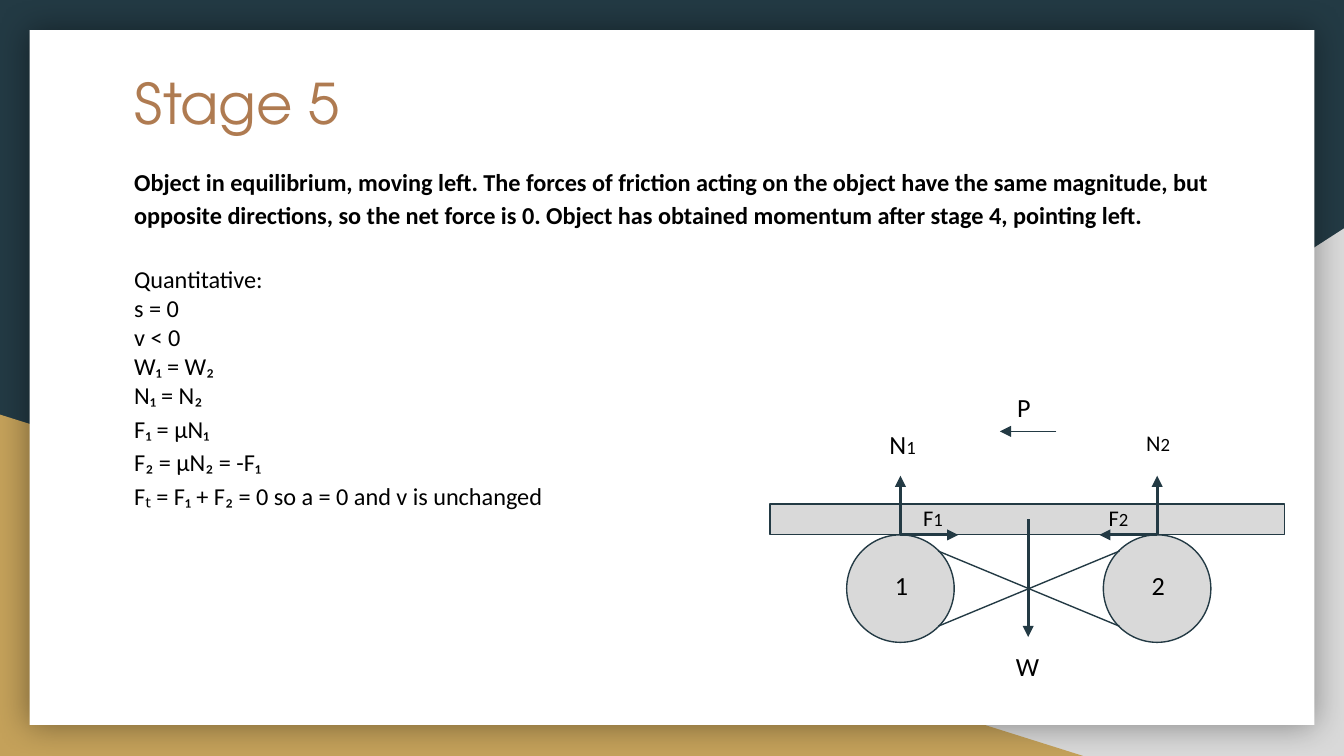
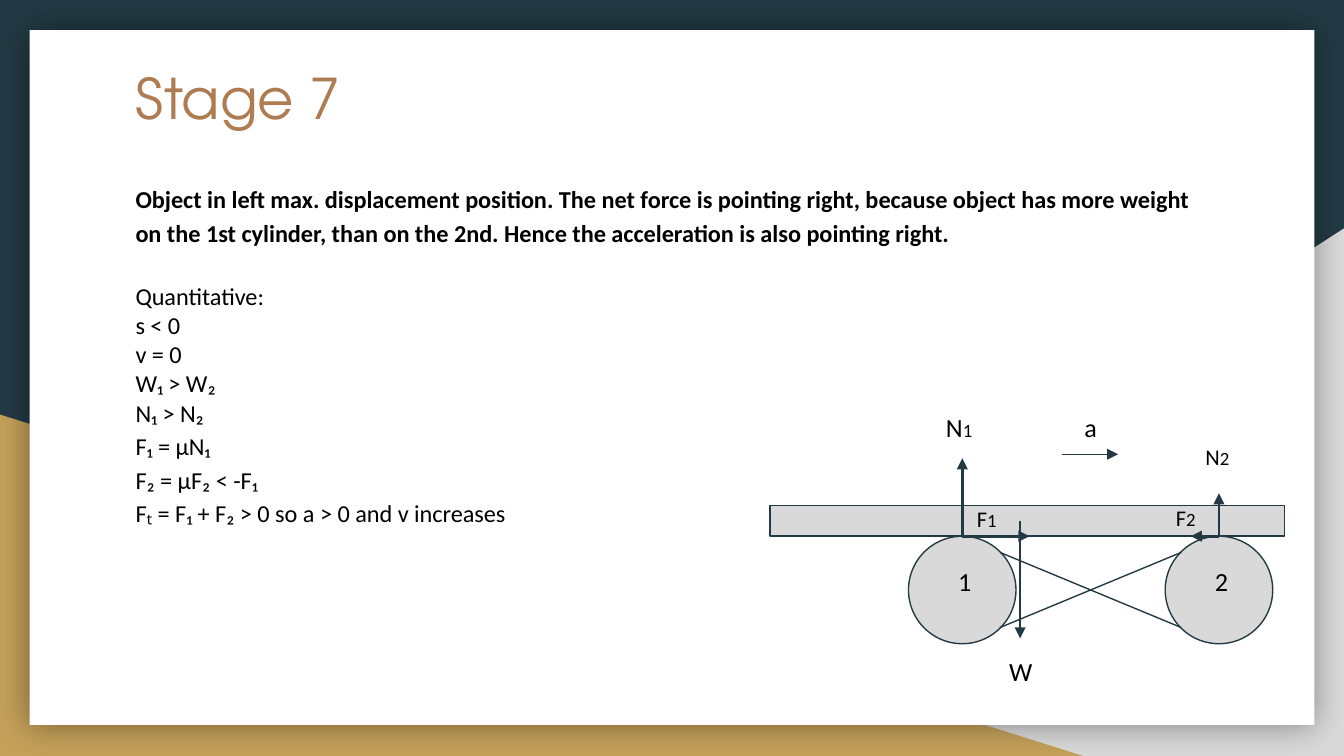
from dataclasses import dataclass
from typing import NamedTuple

from lxml.etree import SubElement
from pptx import Presentation
from pptx.dml.color import RGBColor
from pptx.enum.shapes import MSO_CONNECTOR as CONN, MSO_SHAPE as SHAPE
from pptx.enum.text import MSO_ANCHOR as ANCHOR, MSO_AUTO_SIZE as AUTO, PP_ALIGN as ALIGN
from pptx.oxml.ns import qn
from pptx.util import Pt

PX = 4572  # EMU; 200 px to the inch
SLIDE_W, SLIDE_H = 2000, 1125
INSET = 20

NAVY, GOLD, GREY, WHITE = "233A44", "C4A15A", "D9D9D9", "FFFFFF"
BROWN, BLACK = "AF7B51", "000000"
TITLE_FONT, BODY_FONT = "TeX Gyre Adventor", "Calibri"
THIN, THICK = 0.75, 1.5

WHEEL = 160
WHEEL_GAP = 382
BELT_INSET = 24
BAR_X, BAR_W, BAR_H = 1146, 766, 46


class Box(NamedTuple):
    x: int
    y: int
    w: int
    h: int


class Label(NamedTuple):
    text: str
    sub: str
    size: int
    box: Box


class Arrow(NamedTuple):
    x1: int
    y1: int
    x2: int
    y2: int


@dataclass
class Stage:
    title: str
    title_box: Box
    body_box: Box
    summary: str
    equations: list[str]
    wheel_x: int
    contact_y: int
    weight_x: int
    normals: tuple[int, int]
    frictions: tuple[int, int]
    motion: Arrow
    digit_offset: tuple[int, int]
    labels: list[Label]


STAGES = [
    Stage(
        "Stage 5", Box(180, 82, 1642, 208), Box(180, 222, 1642, 770),
        "Object in equilibrium, moving left. The forces of friction acting on the object "
        "have the same magnitude, but opposite directions, so the net force is 0. "
        "Object has obtained momentum after stage 4, pointing left.",
        ["s = 0", "v < 0", "W₁ = W₂", "N₁ = N₂", "F₁ = μN₁", "F₂ = μN₂ = -F₁",
         "Fₜ = F₁ + F₂ = 0 so a = 0 and v is unchanged"],
        wheel_x=1260, contact_y=796, weight_x=1530,
        normals=(88, 88), frictions=(86, 86),
        motion=Arrow(1572, 642, 1488, 642), digit_offset=(52, 32),
        labels=[
            Label("W", "", 14, Box(1492, 948, 74, 88)),
            Label("N", "2", 12, Box(1686, 618, 86, 88)),
            Label("N", "1", 14, Box(1304, 618, 92, 88)),
            Label("P", "", 14, Box(1494, 562, 92, 88)),
            Label("F", "1", 12, Box(1354, 730, 84, 66)),
            Label("F", "2", 12, Box(1630, 730, 84, 66)),
        ],
    ),
    Stage(
        "Stage 7", Box(182, 74, 1642, 208), Box(182, 248, 1642, 768),
        "Object in left max. displacement position. The net force is pointing right, "
        "because object has more weight on the 1st cylinder, than on the 2nd. "
        "Hence the acceleration is also pointing right.",
        ["s < 0", "v = 0", "W₁ > W₂", "N₁ > N₂", "F₁ = μN₁", "F₂ = μF₂ < -F₁",
         "Fₜ = F₁ + F₂ > 0 so a > 0 and v increases"],
        wheel_x=1352, contact_y=798, weight_x=1518,
        normals=(116, 64), frictions=(100, 42),
        motion=Arrow(1580, 676, 1664, 676), digit_offset=(54, 24),
        labels=[
            Label("W", "", 14, Box(1482, 956, 74, 88)),
            Label("N", "2", 12, Box(1774, 640, 86, 88)),
            Label("N", "1", 14, Box(1388, 592, 92, 88)),
            Label("a", "", 14, Box(1594, 592, 58, 82)),
            Label("F", "1", 12, Box(1434, 732, 84, 66)),
            Label("F", "2", 12, Box(1730, 730, 84, 66)),
        ],
    ),
]


def px(n: int) -> int:
    return n * PX


def color(hex_string: str) -> RGBColor:
    return RGBColor.from_string(hex_string)


def add_shape(slide, kind, box: Box, fill: str, line: str = ""):
    sp = slide.shapes.add_shape(kind, *map(px, box))
    sp.shadow.inherit = False
    sp.fill.solid()
    sp.fill.fore_color.rgb = color(fill)
    if line:
        sp.line.color.rgb = color(line)
        sp.line.width = Pt(THIN)
    else:
        sp.line.fill.background()
    return sp


def add_line(slide, ends: Arrow, width: float, head: bool = True) -> None:
    cx = slide.shapes.add_connector(CONN.STRAIGHT, *map(px, ends))
    cx.line.color.rgb = color(NAVY)
    cx.line.width = Pt(width)
    if head:
        SubElement(cx.line._get_or_add_ln(), qn("a:tailEnd"), type="triangle")
    SubElement(cx._element.spPr, qn("a:effectLst"))


def add_run(p, text: str, size: int, font: str = BODY_FONT, hue: str = BLACK,
            bold: bool = False) -> None:
    r = p.add_run()
    r.text = text
    r.font.name = font
    r.font.size = Pt(size)
    r.font.bold = bold
    r.font.color.rgb = color(hue)


def format_frame(sp):
    """Give a text frame the shared insets, wrapping and top anchor."""
    tf = sp.text_frame
    tf.word_wrap = True
    tf.auto_size = AUTO.NONE
    tf.vertical_anchor = ANCHOR.TOP
    tf.margin_left = tf.margin_right = tf.margin_top = tf.margin_bottom = px(INSET)
    tf.paragraphs[0].alignment = ALIGN.LEFT
    return tf


def add_text_box(slide, box: Box):
    return format_frame(slide.shapes.add_textbox(*map(px, box)))


def add_label(slide, label: Label) -> None:
    p = add_text_box(slide, label.box).paragraphs[0]
    add_run(p, label.text, label.size)
    if label.sub:
        add_run(p, label.sub, 10)


def add_glow(sp) -> None:
    """Put a soft, centred dark shadow round a shape."""
    effects = sp._element.spPr.find(qn("a:effectLst"))
    shadow = SubElement(effects, qn("a:outerShdw"), blurRad=str(Pt(18)), dist="0",
                        dir="0", algn="ctr", rotWithShape="0")
    hue = SubElement(shadow, qn("a:srgbClr"), val=BLACK)
    SubElement(hue, qn("a:alpha"), val="40000")


def decorate_layout(layout, slide) -> None:
    """Draw the shared frame on a slide and move it behind the layout's placeholders."""
    layout.background.fill.solid()
    layout.background.fill.fore_color.rgb = color(NAVY)
    right = add_shape(slide, SHAPE.RIGHT_TRIANGLE, Box(784, 340, 1216, 785), GREY)
    right._element.spPr.xfrm.set("flipH", "1")
    left = add_shape(slide, SHAPE.RIGHT_TRIANGLE, Box(0, 617, 1612, 508), GOLD)
    panel = add_shape(slide, SHAPE.RECTANGLE, Box(44, 45, 1912, 1034), WHITE)
    add_glow(panel)
    for i, sp in enumerate((right, left, panel)):
        layout.shapes._spTree.insert(2 + i, sp._element)


def add_title(slide, stage: Stage) -> None:
    sp = slide.shapes.title
    sp.left, sp.top, sp.width, sp.height = map(px, stage.title_box)
    add_run(format_frame(sp).paragraphs[0], stage.title, 30, TITLE_FONT, BROWN)


def add_body(slide, stage: Stage) -> None:
    tf = add_text_box(slide, stage.body_box)
    for i, text in enumerate([stage.summary, "Quantitative:", *stage.equations]):
        p = tf.add_paragraph() if i else tf.paragraphs[0]
        p.line_spacing = 1.15 if i < 2 or text.startswith("F") else 1.0
        if i == 1:
            p.space_before = Pt(16)
        add_run(p, text, 13, bold=i == 0)


def add_diagram(slide, stage: Stage) -> None:
    top = stage.contact_y
    wheels = [stage.wheel_x, stage.wheel_x + WHEEL_GAP]
    for x in wheels:
        add_shape(slide, SHAPE.OVAL, Box(x, top, WHEEL, WHEEL), GREY, NAVY)
    add_shape(slide, SHAPE.RECTANGLE, Box(BAR_X, top - BAR_H, BAR_W, BAR_H), GREY, NAVY)

    belt_left, belt_right = wheels[0] + WHEEL - BELT_INSET, wheels[1] + BELT_INSET
    high, low = top + BELT_INSET, top + WHEEL - BELT_INSET
    for y1, y2 in ((low, high), (high, low)):
        add_line(slide, Arrow(belt_left, y1, belt_right, y2), THIN, head=False)

    add_line(slide, Arrow(stage.weight_x, top - BAR_H // 2, stage.weight_x, top + 152), THICK)
    add_line(slide, stage.motion, THIN)
    dx, dy = stage.digit_offset
    for i, (x, normal, friction) in enumerate(zip(wheels, stage.normals, stage.frictions)):
        axis = x + WHEEL // 2
        inward = -friction if i else friction
        add_line(slide, Arrow(axis, top, axis, top - normal), THICK)
        add_line(slide, Arrow(axis, top, axis + inward, top), THICK)
        add_label(slide, Label(str(i + 1), "", 14, Box(x + dx, top + dy, 56, 76)))
    for label in stage.labels:
        add_label(slide, label)


def main() -> None:
    prs = Presentation()
    prs.slide_width, prs.slide_height = px(SLIDE_W), px(SLIDE_H)
    layout = prs.slide_layouts[5]
    for i, stage in enumerate(STAGES):
        slide = prs.slides.add_slide(layout)
        if i == 0:
            decorate_layout(layout, slide)
        add_title(slide, stage)
        add_body(slide, stage)
        add_diagram(slide, stage)
    prs.save("out.pptx")


if __name__ == "__main__":
    main()
